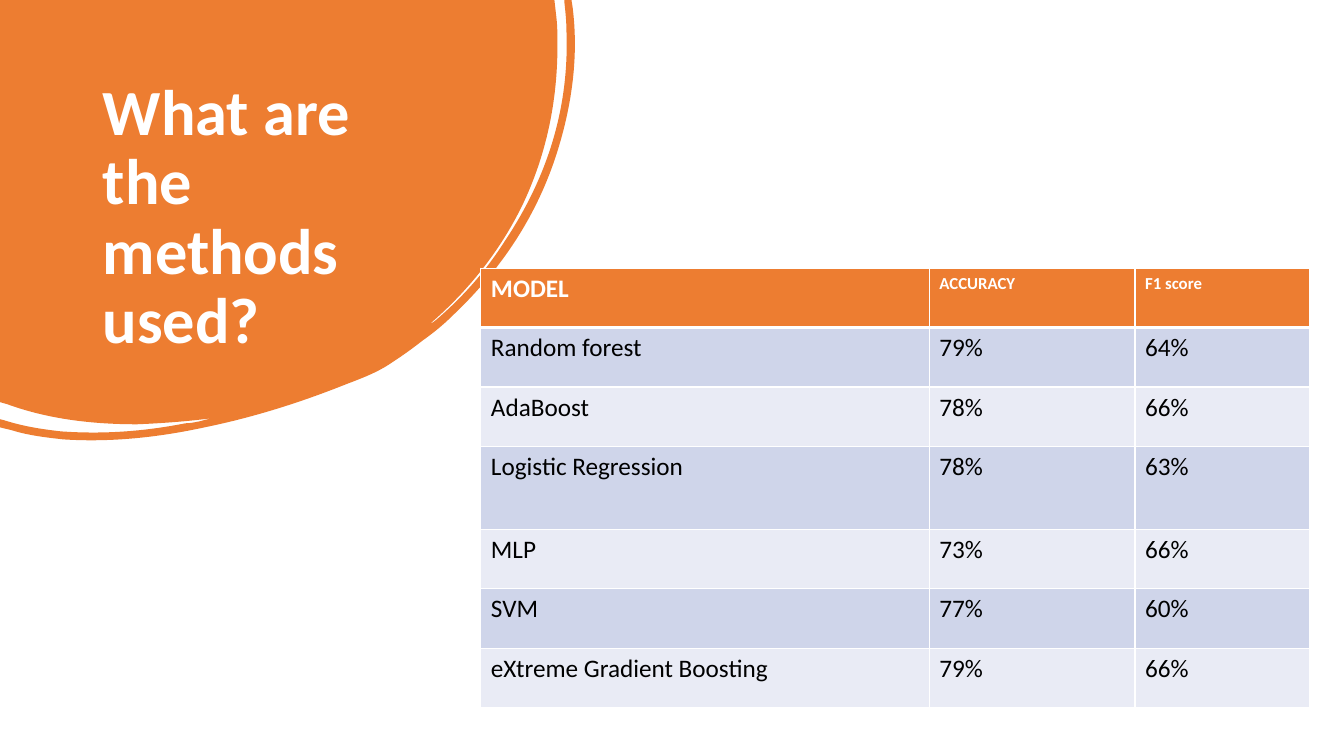
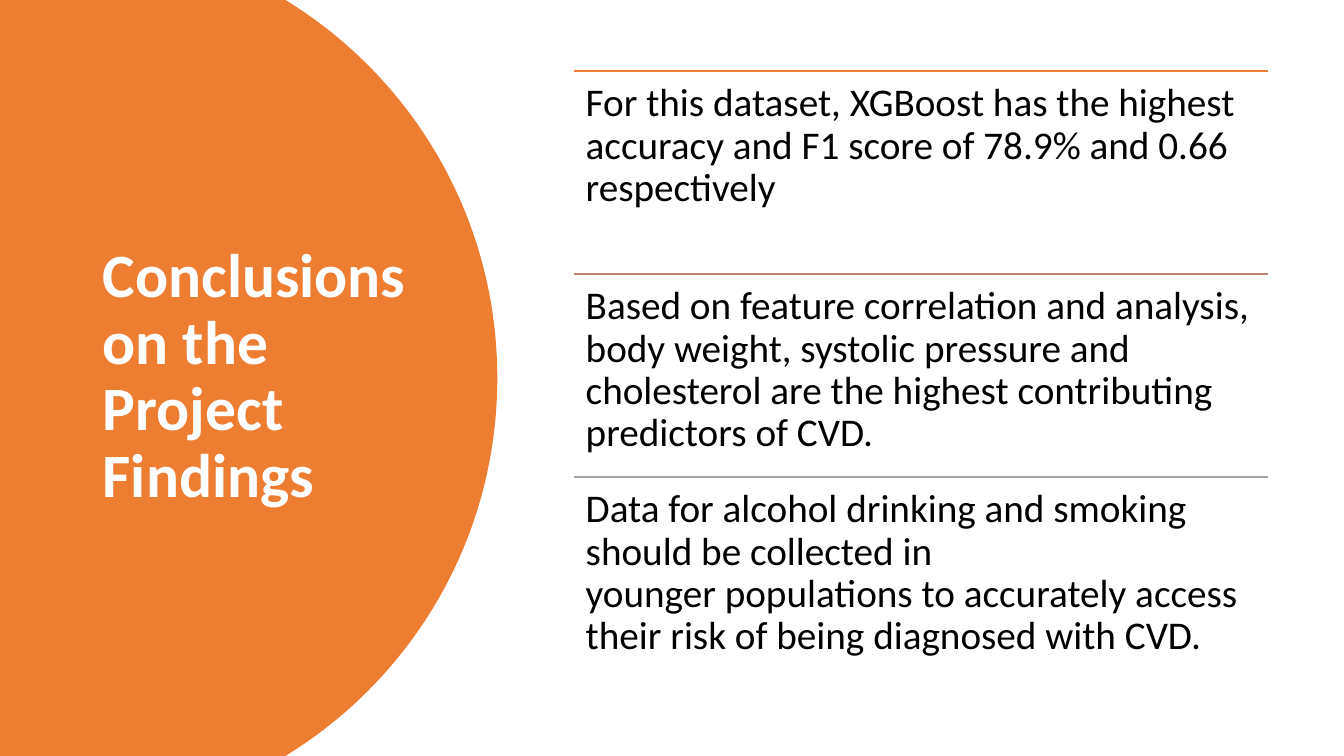
from lxml import etree
from pptx import Presentation
from pptx.dml.color import RGBColor
from pptx.enum import shapes, text
from pptx.oxml import ns
from pptx.util import Pt

SLIDE_WIDTH, SLIDE_HEIGHT = 960, 540
FONT = "Calibri"
ORANGE, WHITE, BLACK = "ED7D31", "FFFFFF", "000000"
STRIPES = ("CFD5EA", "E9EBF5")
TITLE_LEFT = 66.2
LINE_SPACING = 0.9
NO_BREAK_SPACE = chr(160)

# Outlines start at the top-left corner: a pair is a straight line to a point,
# six numbers are a cubic curve (two control points, then the end point).
BLOB_SIZE = (411.1, 314.6)
BLOB = [
    (396, 0), (397.4, 12.2),
    (398.2, 18.7, 398.2, 25.9, 398.2, 32.4),
    (398.2, 72.7, 390.2, 110.9, 373, 146.9),
    (357.1, 179.3, 334.8, 207.4, 307.4, 231.1),
    (308.9, 231.1, 309.6, 229.7, 311, 229),
    (330.5, 212.4, 347, 193.7, 360.7, 172.1),
    (391, 126.7, 406.8, 77, 404.6, 21.6),
    (404.6, 15.1, 403.9, 8.6, 403.2, 2.2),
    (403.2, 0), (408.2, 0), (409, 5),
    (413.3, 38.9, 409, 73.4, 398.2, 108),
    (383.8, 154.1, 357.8, 193, 322.6, 226.1),
    (316.1, 232.6, 308.9, 238.3, 301.7, 243.4),
    (294.5, 249.1, 287.3, 254.2, 278.6, 259.9),
    (270, 265.7, 259.2, 270, 247.7, 274.3),
    (215.3, 287.3, 181.4, 298.1, 146.2, 305.3),
    (113, 312.5, 79.2, 316.1, 45.4, 313.9),
    (32.4, 312.5, 20.2, 311, 8.6, 307.4),
    (0, 305.3), (0, 299.5), (2.9, 300.2),
    (16.6, 304.6, 30.2, 306.7, 43.9, 308.2),
    (74.2, 310.3, 103, 308.2, 132.5, 302.4),
    (136.1, 302.4, 139, 301.7, 142.6, 301),
    (145.4, 300.2, 148.3, 299.5, 151.2, 298.8),
    (133.9, 301, 115.9, 302.4, 97.9, 303.1),
    (66.2, 303.1, 34.6, 299.5, 5, 288.7),
    (0, 287.3),
]
HALF_DISC_SIZE = (355.2, 540)
HALF_DISC = [
    (203, 0), (203.8, 0),
    (294.5, 55.4, 355.2, 155.5, 355.2, 270),
    (355.2, 384.5, 294.5, 484.6, 203.8, 540),
    (203, 540), (0, 540),
]

MODEL_SCORES = [
    ("MODEL", "ACCURACY", "F1 score"),
    ("Random forest", "79%", "64%"),
    ("AdaBoost", "78%", "66%"),
    ("Logistic Regression", "78%", "63%"),
    ("MLP", "73%", "66%"),
    ("SVM", "77%", "60%"),
    ("eXtreme Gradient Boosting", "79%", "66%"),
]
COLUMN_WIDTHS = (320.4, 146.9, 124.6)
ROW_HEIGHT, TALL_ROW_HEIGHT, TALL_ROW = 42.5, 59, 3

CONCLUSIONS = [
    (ORANGE, "For this dataset, XGBoost has the highest accuracy and F1 score "
             "of 78.9% and 0.66 respectively"),
    ("C48170", "Based on feature correlation and analysis, body weight, systolic "
               "pressure and cholesterol are the highest contributing predictors "
               "of CVD."),
    ("A5A5A5", "Data for alcohol drinking and smoking should be collected in "
               f"younger{NO_BREAK_SPACE}populations to accurately access their "
               f"risk of being{NO_BREAK_SPACE}diagnosed with CVD."),
]


def rgb(value):
    return RGBColor.from_string(value)


def points(*lengths):
    return [Pt(length) for length in lengths]


def write(frame, content, size, color, bold=False):
    run = frame.paragraphs[0].add_run()
    run.text = content
    run.font.name = FONT
    run.font.size = Pt(size)
    run.font.bold = bold
    run.font.color.rgb = rgb(color)


def bend_segments(outline_path, outline):
    """Join the three line segments that stand for each curve into one curve."""
    lines = iter(outline_path.findall(ns.qn("a:lnTo")))
    for segment in outline:
        parts = [next(lines) for _ in range(len(segment) // 2)]
        if len(parts) == 3:
            curve = etree.Element(ns.qn("a:cubicBezTo"))
            parts[0].addprevious(curve)
            for part in parts:
                curve.append(part[0])
                outline_path.remove(part)


def add_backdrop(slide, outline, size):
    vertices = [points(*segment[start:start + 2])
                for segment in outline for start in range(0, len(segment), 2)]
    builder = slide.shapes.build_freeform(0, 0)
    builder.add_line_segments(vertices, close=True)
    shape = builder.convert_to_shape()
    outline_path = shape._element.find(".//" + ns.qn("a:path"))
    bend_segments(outline_path, outline)
    shape.width, shape.height = points(*size)
    outline_path.set("w", str(shape.width))
    outline_path.set("h", str(shape.height))
    shape.shadow.inherit = False
    shape.fill.solid()
    shape.fill.fore_color.rgb = rgb(ORANGE)
    shape.line.fill.background()
    # The backdrop lies behind the title.
    slide.shapes._spTree.insert(2, shape._element)


def set_title(slide, content, box, size, anchor):
    title = slide.shapes.title
    title.left, title.top, title.width, title.height = points(*box)
    frame = title.text_frame
    frame.word_wrap = True
    frame.auto_size = text.MSO_AUTO_SIZE.NONE
    frame.vertical_anchor = anchor
    paragraph = frame.paragraphs[0]
    paragraph.alignment = text.PP_ALIGN.LEFT
    paragraph.line_spacing = LINE_SPACING
    write(frame, content, size, WHITE, bold=True)


def add_title_only_slide(presentation):
    return presentation.slides.add_slide(presentation.slide_layouts[5])


def set_borders(cell, **widths):
    properties = cell._tc.get_or_add_tcPr()
    for side in ("L", "R", "T", "B"):
        line = etree.SubElement(properties, ns.qn(f"a:ln{side}"),
                                w=str(Pt(widths.get(side, 1))))
        fill = etree.SubElement(line, ns.qn("a:solidFill"))
        etree.SubElement(fill, ns.qn("a:srgbClr"), val=WHITE)


def style_cell(cell, row, column, content):
    if row == 0:
        set_borders(cell, B=3)
        fill, color, size = ORANGE, WHITE, 18 if column == 0 else 12
    else:
        set_borders(cell, T=3 if row == 1 else 1)
        fill, color, size = STRIPES[(row - 1) % 2], BLACK, 18
    cell.fill.solid()
    cell.fill.fore_color.rgb = rgb(fill)
    write(cell.text_frame, content, size, color, bold=row == 0)


def add_score_table(slide, left, top):
    heights = [TALL_ROW_HEIGHT if row == TALL_ROW else ROW_HEIGHT
               for row in range(len(MODEL_SCORES))]
    table = slide.shapes.add_table(
        len(heights), len(COLUMN_WIDTHS),
        *points(left, top, sum(COLUMN_WIDTHS), sum(heights))).table
    for column, width in zip(table.columns, COLUMN_WIDTHS):
        column.width = Pt(width)
    for row, (height, contents) in enumerate(zip(heights, MODEL_SCORES)):
        table.rows[row].height = Pt(height)
        for column, content in enumerate(contents):
            style_cell(table.cell(row, column), row, column, content)


def add_conclusion(slide, content, color, left, top, width, height):
    rule = slide.shapes.add_connector(
        shapes.MSO_CONNECTOR.STRAIGHT, *points(left, top, left + width, top))
    rule.line.color.rgb = rgb(color)
    rule.line.width = Pt(1)
    etree.SubElement(rule._element.spPr, ns.qn("a:effectLst"))

    frame = slide.shapes.add_textbox(*points(left, top, width, height)).text_frame
    frame.word_wrap = True
    frame.margin_left = frame.margin_right = Pt(8.4)
    frame.margin_top = frame.margin_bottom = Pt(8.4)
    frame.paragraphs[0].line_spacing = LINE_SPACING
    write(frame, content, 28, BLACK)


def add_conclusion_list(slide, left, top, width, height):
    pitch = height / len(CONCLUSIONS)
    for index, (color, content) in enumerate(CONCLUSIONS):
        add_conclusion(slide, content, color, left, top + index * pitch, width, pitch)


def add_methods_slide(presentation):
    slide = add_title_only_slide(presentation)
    add_backdrop(slide, BLOB, BLOB_SIZE)
    set_title(slide, "What are the methods used?",
              (TITLE_LEFT, 53.2, 253, 160), 46, text.MSO_ANCHOR.TOP)
    add_score_table(slide, 343.5, 191.5)


def add_findings_slide(presentation):
    slide = add_title_only_slide(presentation)
    add_backdrop(slide, HALF_DISC, HALF_DISC_SIZE)
    set_title(slide, "Conclusions on the Project Findings",
              (TITLE_LEFT, 50.6, 232.6, 438.5), 44, text.MSO_ANCHOR.MIDDLE)
    add_conclusion_list(slide, 410, 50.8, 495.4, 435)


def main():
    presentation = Presentation()
    presentation.slide_width, presentation.slide_height = points(SLIDE_WIDTH, SLIDE_HEIGHT)
    add_methods_slide(presentation)
    add_findings_slide(presentation)
    presentation.save("out.pptx")


if __name__ == "__main__":
    main()
